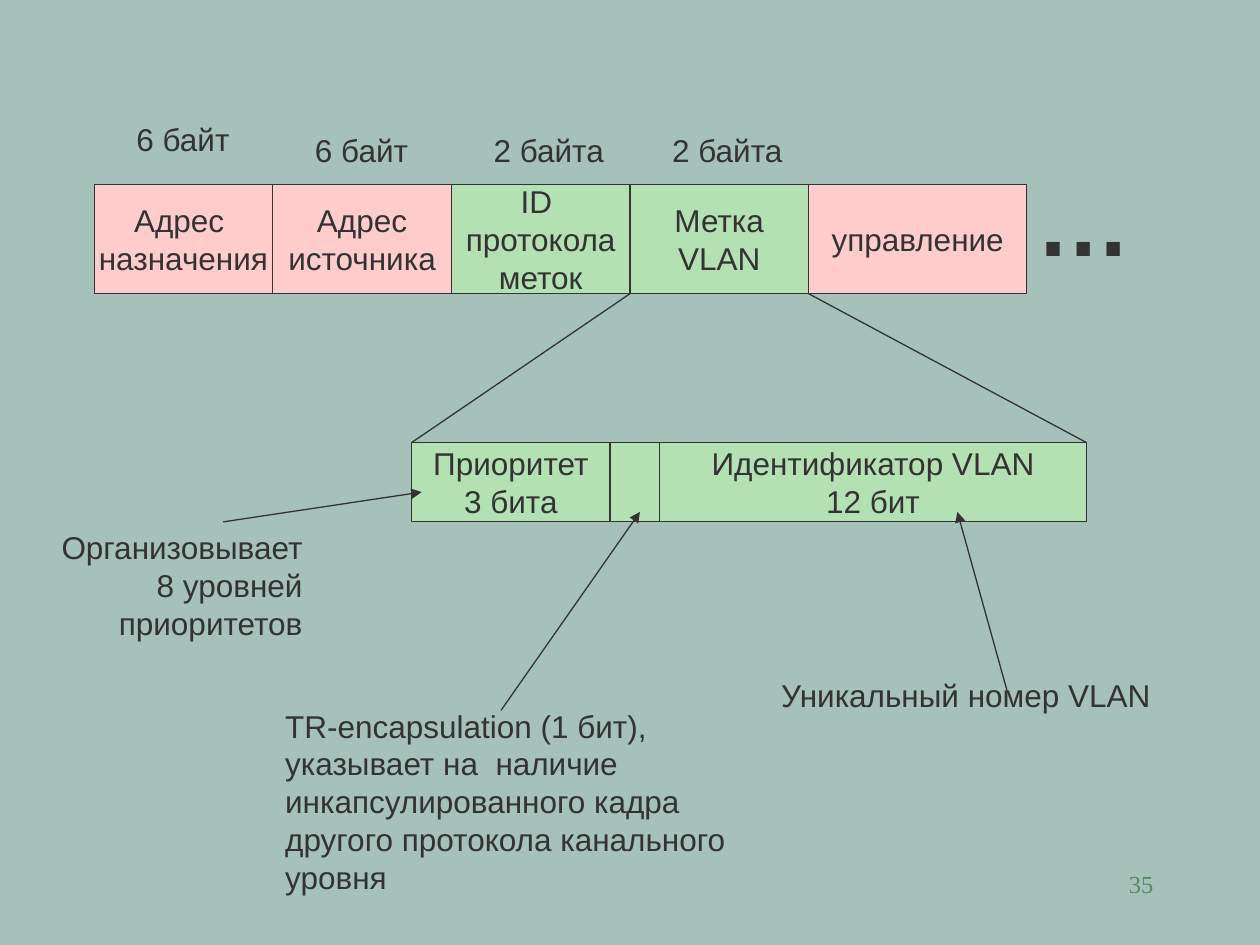
from dataclasses import dataclass

from lxml.etree import SubElement
from pptx import Presentation
from pptx.dml.color import RGBColor
from pptx.enum.shapes import MSO_CONNECTOR, MSO_SHAPE
from pptx.enum.text import MSO_ANCHOR, MSO_AUTO_SIZE, PP_ALIGN
from pptx.oxml.ns import qn
from pptx.util import Cm, Pt


@dataclass(frozen=True)
class Theme:
    background = RGBColor.from_string("A5C1BA")
    ink = RGBColor.from_string("333333")
    pink = RGBColor.from_string("FFCCCC")
    green = RGBColor.from_string("B3E1B3")
    number = RGBColor.from_string("578963")
    font = "Arial"
    number_font = "Times New Roman"
    text_size = Pt(18)
    ellipsis_size = Pt(54)
    number_size = Pt(14)
    line_width = Pt(0.75)


theme = Theme()
deck = Presentation()
deck.slide_width, deck.slide_height = Cm(25.4), Cm(19.05)
page = deck.slides.add_slide(deck.slide_layouts[6])
page.background.fill.solid()
page.background.fill.fore_color.rgb = theme.background


def write(box, text, align=PP_ALIGN.LEFT, size=theme.text_size,
          color=theme.ink, font=theme.font, bold=False, wrap=False):
    box.text_frame.text = text
    box.text_frame.word_wrap = wrap
    for para in box.text_frame.paragraphs:
        para.alignment = align
        for span in para.runs:
            span.font.name, span.font.size = font, size
            span.font.bold = bold
            span.font.color.rgb = color


def draw_line(start, end, arrow=False):
    line = page.shapes.add_connector(
        MSO_CONNECTOR.STRAIGHT, *(Cm(value) for value in (*start, *end)))
    line.line.color.rgb = theme.ink
    line.line.width = theme.line_width
    properties = line._element.spPr
    if arrow:
        SubElement(properties.find(qn("a:ln")), qn("a:tailEnd"), type="triangle")
    SubElement(properties, qn("a:effectLst"))


# Frame fields and the expanded VLAN tag: left, top, height, cells
frame_left, frame_top, frame_height, field_width = 1.9, 3.72, 2.2, 3.6
tag_left, tag_top, tag_height = 8.3, 8.92, 1.6
frame_cells = [
    ("Адрес \nназначения", field_width, theme.pink),
    ("Адрес\nисточника", field_width, theme.pink),
    ("ID \nпротокола\nметок", field_width, theme.green),
    ("Метка\nVLAN", field_width, theme.green),
    ("управление", 4.4, theme.pink),
]
tag_cells = [
    ("Приоритет\n3 бита", 4, theme.green),
    ("", 1, theme.green),
    ("Идентификатор VLAN\n12 бит", 8.6, theme.green),
]
rows = [
    (frame_left, frame_top, frame_height, frame_cells),
    (tag_left, tag_top, tag_height, tag_cells),
]
for left, top, height, cells in rows:
    for text, width, color in cells:
        cell = page.shapes.add_shape(
            MSO_SHAPE.RECTANGLE, Cm(left), Cm(top), Cm(width), Cm(height))
        cell.shadow.inherit = False
        cell.fill.solid()
        cell.fill.fore_color.rgb = color
        cell.line.color.rgb = theme.ink
        cell.line.width = theme.line_width
        cell.text_frame.vertical_anchor = MSO_ANCHOR.MIDDLE
        if text:
            write(cell, text, PP_ALIGN.CENTER)
        left += width

# Lines that open the tag field into its parts
frame_bottom = frame_top + frame_height
tag_field_left = frame_left + 3 * field_width
tag_right = tag_left + sum(width for _, width, _ in tag_cells)
draw_line((tag_field_left, frame_bottom), (tag_left, tag_top))
draw_line((tag_field_left + field_width, frame_bottom), (tag_right, tag_top))

# Field sizes above the frame
sizes = [("6 байт", 2.3, 2.4), ("6 байт", 2.52, 2.4),
         ("2 байта", 2.52, 2.75), ("2 байта", 2.52, 2.75)]
labels = [
    (text, frame_left + 0.6 + index * field_width, top, width, 1.02, {})
    for index, (text, top, width) in enumerate(sizes)
]

# Ellipsis, explanations and page number
labels += [
    ("…", 20.65, 3.15, 2.41, 2.54, {"size": theme.ellipsis_size, "bold": True}),
    ("TR-encapsulation (1 бит),\nуказывает на  наличие\n"
     "инкапсулированного кадра\nдругого протокола канального\nуровня",
     5.5, 14.12, 9.45, 4.06, {}),
    ("Организовывает\n8 уровней\nприоритетов", 0.9, 10.52, 5.45, 2.54,
     {"align": PP_ALIGN.RIGHT, "wrap": True}),
    ("Уникальный номер VLAN", 15.5, 13.5, 7.98, 1.02, {}),
    ("35", 18.2, 17.4, 5.3, 0.85,
     {"align": PP_ALIGN.RIGHT, "wrap": True, "size": theme.number_size,
      "color": theme.number, "font": theme.number_font}),
]
for text, left, top, width, height, style in labels:
    box = page.shapes.add_textbox(Cm(left), Cm(top), Cm(width), Cm(height))
    write(box, text, **style)
    box.text_frame.auto_size = MSO_AUTO_SIZE.SHAPE_TO_FIT_TEXT

# Arrows from the explanations to the tag parts
for start, end in [((10.1, 14.32), (12.9, 10.32)),
                   ((4.5, 10.52), (8.5, 9.92)),
                   ((20.3, 13.92), (19.3, 10.32))]:
    draw_line(start, end, arrow=True)

deck.save("out.pptx")
